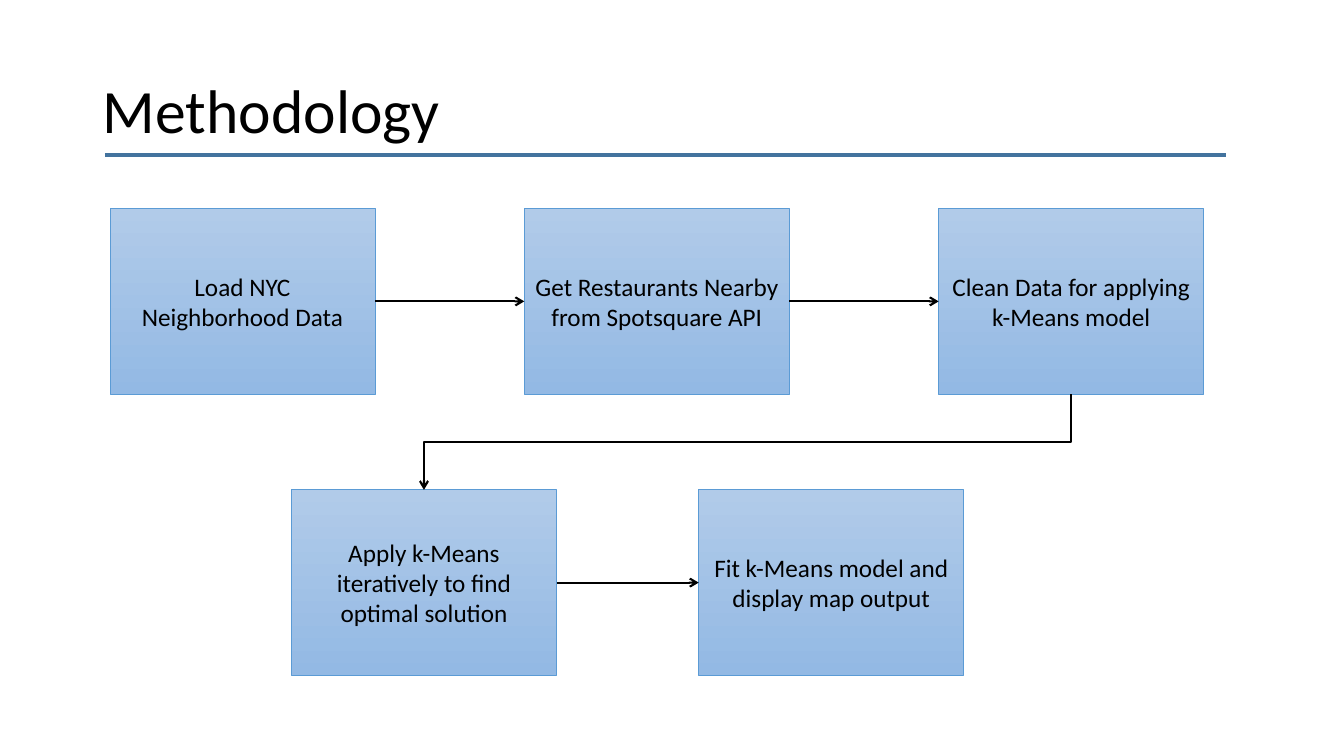
from dataclasses import dataclass
from lxml import etree
from pptx import Presentation
from pptx.dml.color import RGBColor as Rgb
from pptx.enum.shapes import MSO_CONNECTOR as Link, MSO_SHAPE as Kind
from pptx.enum.text import MSO_ANCHOR as Anchor, MSO_AUTO_SIZE as Auto, PP_ALIGN as Align
from pptx.oxml.ns import qn
from pptx.util import Inches, Pt

# Content: each row has its left, top, step between boxes, and labels
TITLE = "Methodology"
ROWS = [
    (1.09, 2.07, 4.11, ["Load NYC Neighborhood Data",
                        "Get Restaurants Nearby from Spotsquare API",
                        "Clean Data for applying k-Means model"]),
    (2.89, 4.86, 4.04, ["Apply k-Means iteratively to find optimal solution",
                        "Fit k-Means model and display map output"]),
]
BOX = Inches(2.63), Inches(1.84)
TOP, LEFT, BOTTOM, RIGHT = range(4)  # connection sites of a rectangle


@dataclass(frozen=True)
class Theme:
    font: str = "Calibri"
    ink: Rgb = Rgb(0, 0, 0)
    light: Rgb = Rgb(0xB1, 0xCB, 0xE9)
    deep: Rgb = Rgb(0x93, 0xB9, 0xE4)
    edge: Rgb = Rgb(0x5B, 0x9B, 0xD5)
    rule: Rgb = Rgb(0x43, 0x73, 0x9E)
    head: Pt = Pt(44)
    body: Pt = Pt(18)


theme = Theme()


def write(frame, text, size, align):
    frame.word_wrap = True
    frame.vertical_anchor = Anchor.MIDDLE
    para = frame.paragraphs[0]
    para.alignment = align
    run = para.add_run()
    run.text = text
    run.font.name, run.font.size = theme.font, size
    run.font.color.rgb = theme.ink
    return para


def add_box(left, top, text):
    box = slide.shapes.add_shape(Kind.RECTANGLE, left, top, *BOX)
    box.shadow.inherit = False
    box.fill.gradient()
    box.fill.gradient_angle = 270
    for stop, color in zip(box.fill.gradient_stops, (theme.light, theme.deep)):
        stop.color.rgb = color
    box.line.color.rgb, box.line.width = theme.edge, Pt(0.5)
    write(box.text_frame, text, theme.body, Align.CENTER)
    return box


def add_line(kind, ends, color, width):
    line = slide.shapes.add_connector(kind, *ends)
    line.line.color.rgb, line.line.width = color, width
    etree.SubElement(line._element.spPr, qn("a:effectLst"))
    return line


def add_arrow(start, end, kind=Link.STRAIGHT, sites=(RIGHT, LEFT)):
    arrow = add_line(kind, (0, 0, 0, 0), theme.ink, Pt(1.5))
    arrow.begin_connect(start, sites[0])
    arrow.end_connect(end, sites[1])
    etree.SubElement(arrow.line._get_or_add_ln(), qn("a:tailEnd"), type="arrow")
    return arrow


def turn(arrow):
    """Quarter turn, so a leftward elbow leaves and arrives vertically."""
    wide, high = arrow.width, arrow.height
    arrow.left += (wide - high) // 2
    arrow.top += (high - wide) // 2
    arrow.width, arrow.height = high, wide
    frame = arrow._element.spPr.find(qn("a:xfrm"))
    frame.attrib.pop("flipH", None)
    frame.set("rot", "5400000")


# Slide and title
deck = Presentation()
deck.slide_width, deck.slide_height = Inches(13.33), Inches(7.5)
slide = deck.slides.add_slide(deck.slide_layouts[5])
title = slide.shapes.title
title.left, title.top = Inches(0.92), Inches(0.4)
title.width, title.height = Inches(11.5), Inches(1.45)
write(title.text_frame, TITLE, theme.head, Align.LEFT).line_spacing = 0.9
title.text_frame.auto_size = Auto.NONE

# Rows of steps
rows = [[add_box(Inches(left + i * step), Inches(top), text)
         for i, text in enumerate(texts)]
        for left, top, step, texts in ROWS]

# Arrows along each row, then down to the next row
for row in rows:
    for start, end in zip(row, row[1:]):
        add_arrow(start, end)
for upper, lower in zip(rows, rows[1:]):
    turn(add_arrow(upper[-1], lower[0], Link.ELBOW, (BOTTOM, TOP)))

# Rule under the title
add_line(Link.STRAIGHT, [Inches(n) for n in (1.04, 1.54, 12.16, 1.54)],
         theme.rule, Pt(2.75))

deck.save("out.pptx")
